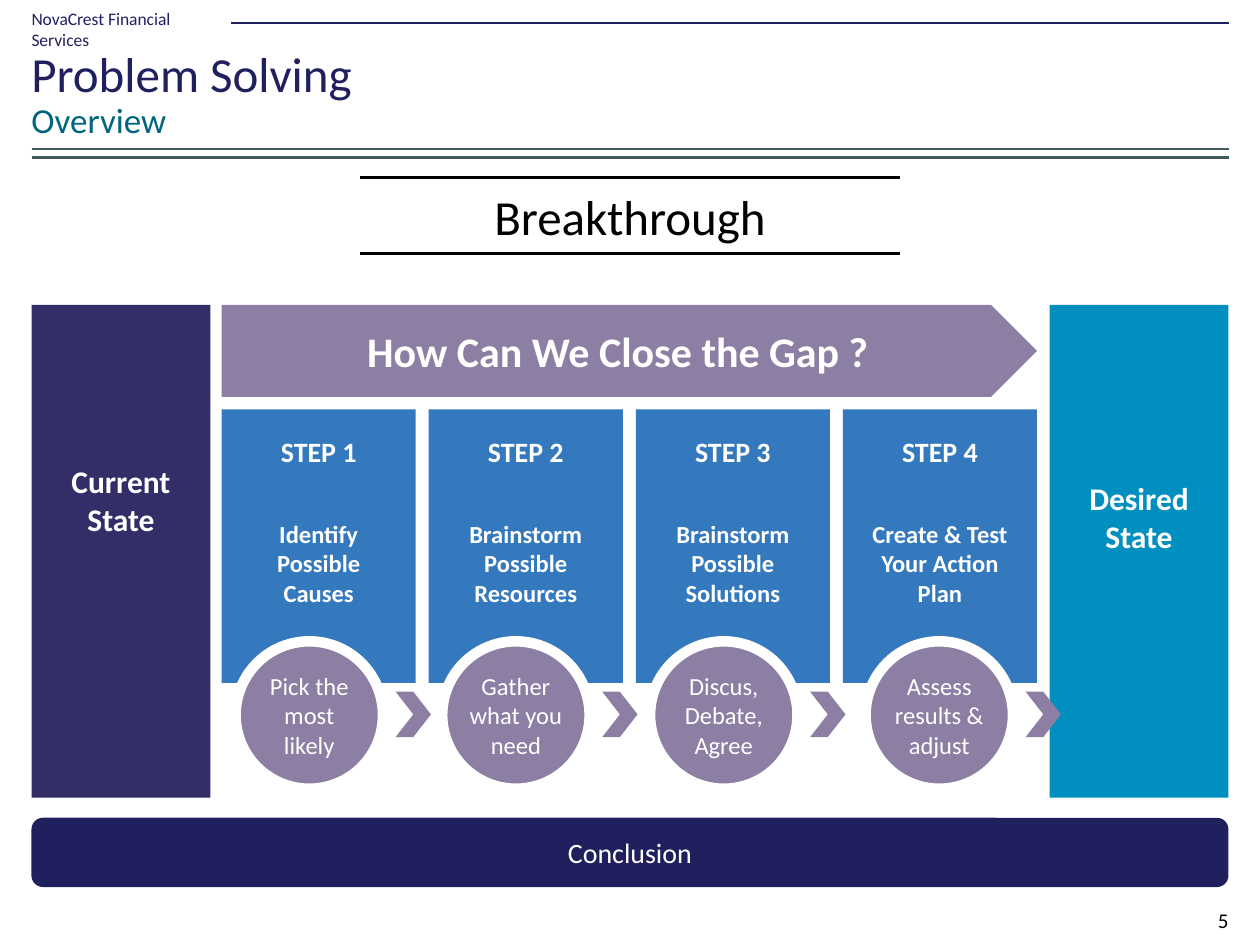
from dataclasses import dataclass

from lxml.etree import SubElement
from pptx import Presentation
from pptx.dml.color import RGBColor
from pptx.enum.shapes import MSO_CONNECTOR as Link, MSO_SHAPE as Kind
from pptx.enum.text import MSO_ANCHOR as Anchor, PP_ALIGN as Align
from pptx.oxml.ns import qn
from pptx.util import Inches, Pt


@dataclass(frozen=True)
class Theme:
    font: str = "Calibri"
    navy: str = "21205F"
    teal: str = "006580"
    slate: str = "455960"
    indigo: str = "322F68"
    cyan: str = "008FBE"
    blue: str = "3479BE"
    mauve: str = "8D7FA3"
    white: str = "FFFFFF"
    black: str = "000000"
    tiny: int = 10
    small: int = 12
    body: int = 14
    label: int = 16
    state: int = 18
    sub: int = 20
    head: int = 24
    title: int = 28


class Deck:
    def __init__(self, theme):
        self.theme = theme
        self.prs = Presentation()
        self.prs.slide_width, self.prs.slide_height = Inches(10), Inches(7.5)
        self.slide = self.prs.slides.add_slide(self.prs.slide_layouts[6])

    def label(self, item, lines, size, color, bold=False, align=Align.CENTER,
              anchor=Anchor.MIDDLE, pad=(0.1, 0.05, 0.1, 0.05), wrap=True):
        """Fill an item with one paragraph per line; pad is left, top, right, bottom."""
        frame = item.text_frame
        frame.word_wrap = wrap
        frame.vertical_anchor = anchor
        (frame.margin_left, frame.margin_top,
         frame.margin_right, frame.margin_bottom) = map(Inches, pad)
        frame.text = "\n".join(lines)
        for para in frame.paragraphs:
            para.alignment = align
            font = para.font
            font.name, font.size, font.bold = self.theme.font, Pt(size), bold
            font.color.rgb = RGBColor.from_string(color)
        return frame.paragraphs

    def text(self, box, words, size, color, **style):
        item = self.slide.shapes.add_textbox(*map(Inches, box))
        return self.label(item, [words], size, color, **style)

    def shape(self, kind, box, fill, edge=0):
        """Add a filled shape; edge is the width of its white outline."""
        item = self.slide.shapes.add_shape(kind, *map(Inches, box))
        item.shadow.inherit = False
        item.fill.solid()
        item.fill.fore_color.rgb = RGBColor.from_string(fill)
        if edge:
            item.line.color.rgb = RGBColor.from_string(self.theme.white)
            item.line.width = Pt(edge)
        else:
            item.line.fill.background()
        return item

    def rule(self, left, right, top, color, width):
        """Draw a horizontal line."""
        item = self.slide.shapes.add_connector(
            Link.STRAIGHT, *map(Inches, (left, top, right, top)))
        item.line.color.rgb = RGBColor.from_string(color)
        item.line.width = Pt(width)
        SubElement(item._element.spPr, qn("a:effectLst"))

    def state(self, left, lines, fill, lift):
        """Add a tall side panel whose text is raised by a bottom margin."""
        item = self.shape(Kind.RECTANGLE, (left, 2.42, 1.42, 3.91), fill)
        self.label(item, lines, self.theme.state, self.theme.white, bold=True,
                   pad=(0.1, 0.05, 0.1, lift))

    def step(self, left, name, lines):
        theme = self.theme
        item = self.shape(Kind.RECTANGLE, (left, 3.25, 1.54, 2.17), theme.blue)
        paras = self.label(item, [name, *lines], theme.body, theme.white, bold=True,
                           anchor=Anchor.TOP, pad=(0.1, 0.2, 0.1, 0.05))
        paras[0].font.size = Pt(theme.label)
        paras[1].space_before = Pt(29)

    def task(self, left, words):
        """Add a circle and the chevron that follows it."""
        theme = self.theme
        item = self.shape(Kind.OVAL, (left, 5.09, 1.17, 1.17), theme.mauve, edge=6)
        self.label(item, [words], theme.body, theme.white, pad=(0, 0, 0, 0))
        self.shape(Kind.CHEVRON, (left + 1.27, 5.49, 0.28, 0.36), theme.mauve)


STEPS = [
    (["Identify", "Possible", "Causes"], 1.87, "Pick the most likely"),
    (["Brainstorm", "Possible", "Resources"], 3.51, "Gather what you need"),
    (["Brainstorm", "Possible", "Solutions"], 5.16, "Discus, Debate, Agree"),
    (["Create & Test", "Your Action", "Plan"], 6.87, "Assess results & adjust"),
]


def main():
    theme = Theme()
    deck = Deck(theme)
    left, right = 0.25, 9.75
    wide = right - left
    flat = (0, 0.05, 0, 0.05)

    # Header and page number
    deck.text((left, 0.06, 1.55, 0.17), "NovaCrest Financial Services", theme.tiny,
              theme.navy, align=Align.LEFT, anchor=Anchor.TOP, pad=(0, 0, 0, 0),
              wrap=False)
    deck.rule(1.83, right, 0.18, theme.navy, 1)
    deck.rule(left, right, 1.18, theme.slate, 1)
    deck.rule(left, right, 1.25, theme.slate, 2.25)
    deck.text((left, 0.33, wide, 0.5), "Problem Solving", theme.title, theme.navy,
              align=Align.LEFT, pad=flat)
    deck.text((left, 0.73, wide, 0.44), "Overview", theme.sub, theme.teal,
              align=Align.LEFT, pad=flat)
    deck.text((9.33, 7.1, 0.42, 0.4), "5", theme.small, theme.black,
              align=Align.RIGHT, pad=flat)

    # Breakthrough banner
    deck.text((2.86, 1.41, 4.28, 0.61), "Breakthrough", theme.title, theme.black)
    for top in (1.41, 2.01):
        deck.rule(2.86, 7.14, top, theme.black, 1.5)

    # States, steps and tasks
    deck.state(left, ["Current State"], theme.indigo, 0.86)
    deck.state(8.33, ["Desired", "State"], theme.cyan, 0.59)
    start, span = 1.76, 6.47
    arrow = deck.shape(Kind.PENTAGON, (start, 2.42, span, 0.73), theme.mauve)
    deck.label(arrow, ["How Can We Close the Gap ?"], theme.head, theme.white, bold=True)
    pitch = (span - 1.54) / (len(STEPS) - 1)
    for i, (lines, spot, words) in enumerate(STEPS):
        deck.step(start + i * pitch, f"STEP {i + 1}", lines)
        deck.task(spot, words)

    bar = deck.shape(Kind.ROUNDED_RECTANGLE, (left, 6.49, wide, 0.55), theme.navy)
    deck.label(bar, ["Conclusion"], theme.label, theme.white)

    deck.prs.save("out.pptx")


if __name__ == "__main__":
    main()
